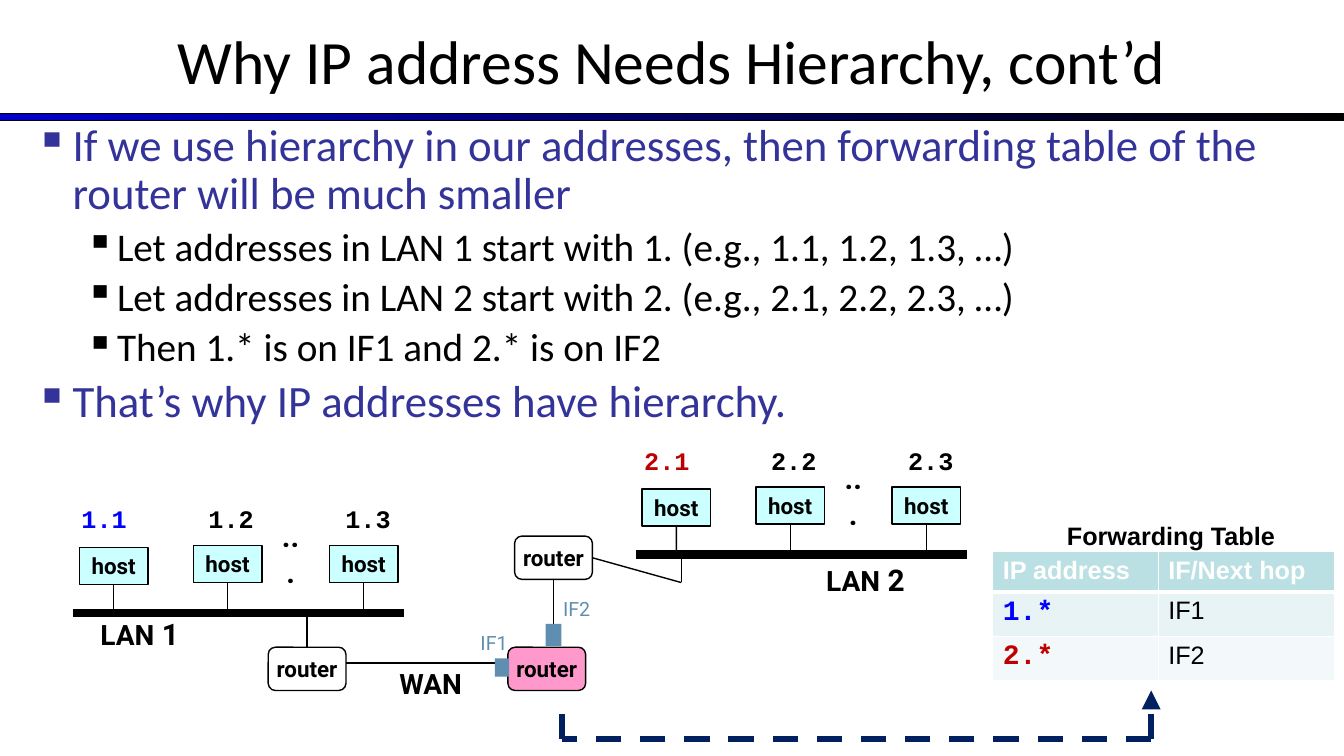
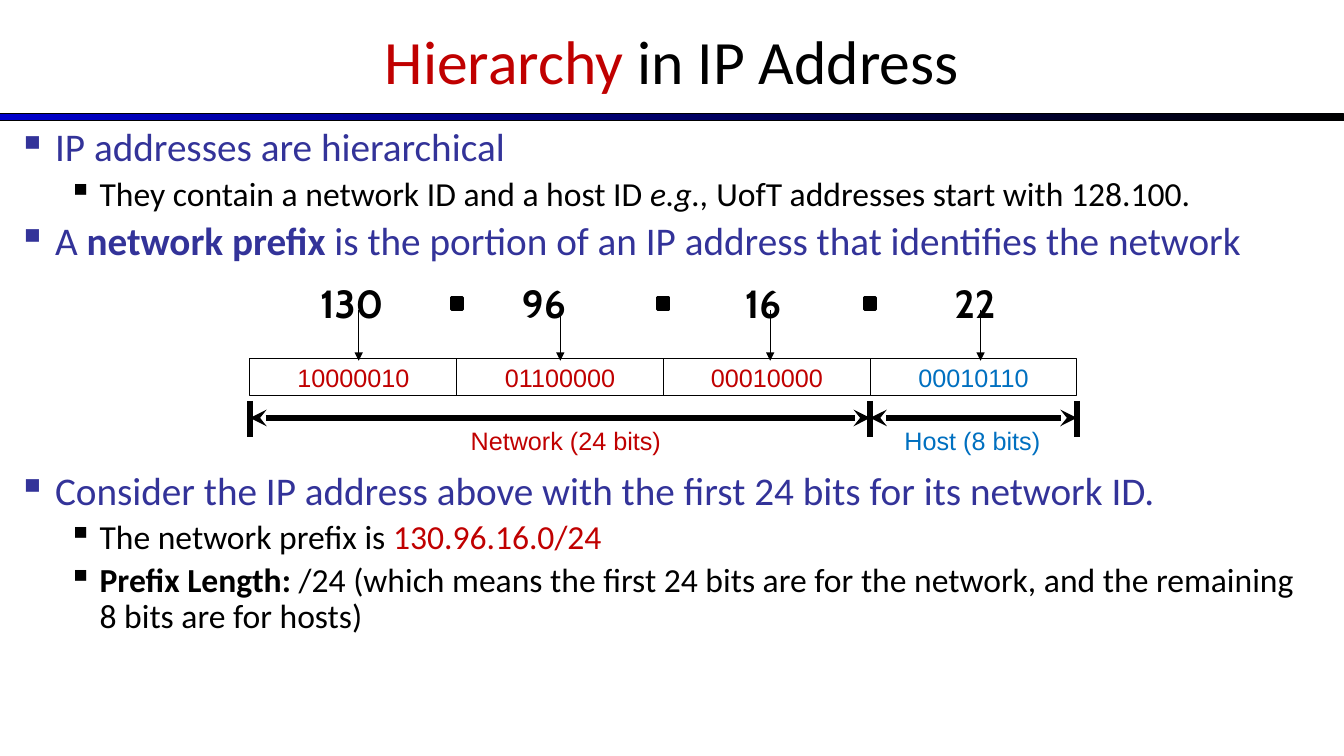
from dataclasses import dataclass
from typing import Optional

from lxml import etree
from pptx import Presentation
from pptx.dml.color import RGBColor
from pptx.enum.dml import MSO_LINE
from pptx.enum.shapes import MSO_CONNECTOR, MSO_SHAPE
from pptx.enum.text import MSO_ANCHOR, PP_ALIGN
from pptx.oxml.ns import qn
from pptx.util import Cm, Pt

STRAIGHT = MSO_CONNECTOR.STRAIGHT
RECTANGLE, ROUNDED = MSO_SHAPE.RECTANGLE, MSO_SHAPE.ROUNDED_RECTANGLE
TOP, MIDDLE = MSO_ANCHOR.TOP, MSO_ANCHOR.MIDDLE
LEFT, CENTER = PP_ALIGN.LEFT, PP_ALIGN.CENTER
SIDE_TOP, SIDE_BOTTOM, SIDE_RIGHT = 0, 2, 3

# Shared look, lengths in centimetres
WIDTH, HEIGHT = 33.87, 19.05
BLACK, WHITE, INDIGO, RED, BLUE = "000000", "FFFFFF", "333399", "C00000", "0000FF"
BAND_BLUE, HOST_FILL, ROUTER_PINK = "0000CC", "CCFFFF", "FF99CC"
STEEL, NAVY, SKY = "5F8EB0", "002060", "0070C0"
INDENTS = ((0.94, 0.94), (2.06, 0.79))
LEVEL_COLORS = (INDIGO, BLACK)


@dataclass(frozen=True)
class Style:
    font: str
    size: float
    color: str = BLACK
    bold: bool = False


@dataclass(frozen=True)
class Span:
    text: str
    color: Optional[str] = None
    bold: Optional[bool] = None
    italic: Optional[bool] = None
    size: Optional[float] = None


@dataclass(frozen=True)
class Bullet:
    level: int
    spans: tuple[Span, ...]


@dataclass(frozen=True)
class Lan:
    number: int
    left: float
    bus: float
    name_left: float
    name_top: float
    first_color: str


@dataclass(frozen=True)
class Octet:
    decimal: str
    bits: str
    color: str
    decimal_left: float
    arrow: float


TITLE = Style("Calibri", 44)
NODE = Style("Roboto", 16, bold=True)
NETWORK_NAME = Style("Roboto", 20, bold=True)
INTERFACE = Style("Roboto", 14, STEEL)


def rgb(color: str) -> RGBColor:
    return RGBColor.from_string(color)


# Text
def style_font(font, style: Style) -> None:
    font.name, font.size, font.bold = style.font, Pt(style.size), style.bold
    font.color.rgb = rgb(style.color)


def add_spans(paragraph, spans: tuple[Span, ...]) -> None:
    for span in spans:
        run = paragraph.add_run()
        run.text = span.text
        if span.color:
            run.font.color.rgb = rgb(span.color)
        if span.bold is not None:
            run.font.bold = span.bold
        if span.italic is not None:
            run.font.italic = span.italic
        if span.size:
            run.font.size = Pt(span.size)


def write(shape, spans: tuple[Span, ...], style: Style, align=CENTER, anchor=MIDDLE,
          wrap: bool = False) -> None:
    frame = shape.text_frame
    frame.word_wrap, frame.vertical_anchor = wrap, anchor
    paragraph = frame.paragraphs[0]
    paragraph.alignment = align
    style_font(paragraph.font, style)
    add_spans(paragraph, spans)


def add_text(slide, left: float, top: float, width: float, height: float,
             spans: tuple[Span, ...], style: Style, align=CENTER, anchor=MIDDLE,
             wrap: bool = False) -> None:
    box = slide.shapes.add_textbox(Cm(left), Cm(top), Cm(width), Cm(height))
    write(box, spans, style, align, anchor, wrap)


def add_bullets(slide, left: float, top: float, width: float, height: float,
                sizes: tuple[int, int], bullets: tuple[Bullet, ...]) -> None:
    box = slide.shapes.add_textbox(Cm(left), Cm(top), Cm(width), Cm(height))
    frame = box.text_frame
    frame.word_wrap = True
    for index, bullet in enumerate(bullets):
        paragraph = frame.add_paragraph() if index else frame.paragraphs[0]
        paragraph.level = bullet.level
        margin, hanging = INDENTS[bullet.level]
        color, size = LEVEL_COLORS[bullet.level], sizes[bullet.level]
        properties = paragraph._p.get_or_add_pPr()
        properties.set("marL", str(Cm(margin)))
        properties.set("indent", str(-Cm(hanging)))
        bullet_color = etree.SubElement(properties, qn("a:buClr"))
        etree.SubElement(bullet_color, qn("a:srgbClr"), val=color)
        etree.SubElement(properties, qn("a:buChar"), char="▪")
        paragraph.line_spacing = 0.9
        if index:
            paragraph.space_before = Pt(size * 0.2)
        style_font(paragraph.font, Style("Calibri", size, color))
        add_spans(paragraph, bullet.spans)


# Shapes and lines
def add_box(slide, left: float, top: float, width: float, height: float,
            fill: Optional[str] = None, line: Optional[float] = None, kind=RECTANGLE):
    shape = slide.shapes.add_shape(kind, Cm(left), Cm(top), Cm(width), Cm(height))
    shape.shadow.inherit = False
    if fill:
        shape.fill.solid()
        shape.fill.fore_color.rgb = rgb(fill)
    else:
        shape.fill.background()
    if line:
        shape.line.color.rgb, shape.line.width = rgb(BLACK), Pt(line)
    else:
        shape.line.fill.background()
    return shape


def add_line(slide, x1: float, y1: float, x2: float, y2: float, weight: float = 1,
             color: str = BLACK, dashed: bool = False, head: str = "", tail: str = ""):
    connector = slide.shapes.add_connector(STRAIGHT, Cm(x1), Cm(y1), Cm(x2), Cm(y2))
    connector.line.color.rgb, connector.line.width = rgb(color), Pt(weight)
    if dashed:
        connector.line.dash_style = MSO_LINE.DASH
    properties = connector.element.spPr
    outline = properties.find(qn("a:ln"))
    for tag, arrow in (("a:headEnd", head), ("a:tailEnd", tail)):
        if arrow:
            etree.SubElement(outline, qn(tag), type=arrow)
    etree.SubElement(properties, qn("a:effectLst"))
    return connector


def add_slide(presentation, title: tuple[Span, ...]):
    slide = presentation.slides.add_slide(presentation.slide_layouts[6])
    band = add_box(slide, 0, 2.87, WIDTH, 0.18, BLACK, 0.75)
    band.fill.gradient()
    band.fill.gradient_angle = 0
    for stop, position, color in zip(band.fill.gradient_stops, (0, 1), (BAND_BLUE, BLACK)):
        stop.position, stop.color.rgb = position, rgb(color)
    add_text(slide, 0, -0.08, WIDTH, 3.18, title, TITLE, wrap=True)
    return slide


# Network diagram
def add_lan(slide, lan: Lan) -> None:
    add_line(slide, lan.left, lan.bus, lan.left + 8.33, lan.bus, 6)
    hosts = ((0.15, 1.65, -0.05), (3.02, 1.7, 3.15), (6.45, 1.7, 6.6))
    for number, (offset, rise, label) in enumerate(hosts, 1):
        left, top = lan.left + offset, lan.bus - rise
        host = add_box(slide, left, top, 1.73, 0.94, HOST_FILL, 1)
        write(host, (Span("host"),), NODE)
        center = left + 1.73 / 2
        drop = add_line(slide, center, top + 0.94, center, lan.bus)
        drop.begin_connect(host, SIDE_BOTTOM)
        color = lan.first_color if number == 1 else BLACK
        add_text(slide, lan.left + label, lan.bus - 2.88, 1.65, 1.02,
                 (Span(f"{lan.number}.{number}"),),
                 Style("Courier New", 18, color, True), anchor=TOP)
    add_text(slide, lan.left + 4.98, lan.bus - 1.93, 0.99, 0.89, (Span("..."),),
             Style("Roboto", 21.3, bold=True), wrap=True)
    add_text(slide, lan.name_left, lan.name_top, 2.62, 1.17,
             (Span("LAN"), Span(f" {lan.number}", size=21.3)), NETWORK_NAME)


def add_router(slide, left: float, top: float, fill: Optional[str] = None):
    router = add_box(slide, left, top, 1.96, 1.09, fill, 1, ROUNDED)
    write(router, (Span("router"),), NODE)
    return router


def add_forwarding_table(slide) -> None:
    add_text(slide, 25.6, 12.98, 7.82, 1.02, (Span("Forwarding Table"),),
             Style("Arial", 18, bold=True), anchor=TOP, wrap=True)
    heading, plain = Style("Arial", 18, WHITE, True), Style("Arial", 18)
    rows = (
        ("BBE0E3", 1.03, (("IP address", heading), ("IF/Next hop", heading))),
        ("E7F3F4", 1.11, (("1.*", Style("Courier New", 20, BLUE, True)), ("IF1", plain))),
        ("F3F9FA", 1.11, (("2.*", Style("Courier New", 20, RED, True)), ("IF2", plain))),
    )
    table = slide.shapes.add_table(3, 2, Cm(25.02), Cm(13.89), Cm(8.62), Cm(3.25)).table
    table.horz_banding = False
    for column, width in zip(table.columns, (4.17, 4.45)):
        column.width = Cm(width)
    for row, (fill, height, entries) in enumerate(rows):
        table.rows[row].height = Cm(height)
        for column, (text, style) in enumerate(entries):
            cell = table.cell(row, column)
            cell.fill.solid()
            cell.fill.fore_color.rgb = rgb(fill)
            paragraph = cell.text_frame.paragraphs[0]
            style_font(paragraph.font, style)
            add_spans(paragraph, (Span(text),))
            weights = (1, 1, 3 if row == 1 else 1, 3 if row == 0 else 1)
            properties = cell._tc.get_or_add_tcPr()
            for index, (side, weight) in enumerate(zip("LRTB", weights)):
                border = etree.Element(qn(f"a:ln{side}"), w=str(Pt(weight)))
                border_fill = etree.SubElement(border, qn("a:solidFill"))
                etree.SubElement(border_fill, qn("a:srgbClr"), val=WHITE)
                properties.insert(index, border)


def build_forwarding_slide(presentation) -> None:
    slide = add_slide(presentation, (Span("Why IP address Needs Hierarchy, cont’d"),))
    add_bullets(slide, 0.64, 2.97, 32.59, 4.8, (32, 28), (
        Bullet(0, (Span("If we use hierarchy in our addresses, then forwarding table "
                        "of the router will be much smaller"),)),
        Bullet(1, (Span("Let addresses in LAN 1 start with 1. (e.g., 1.1, 1.2, 1.3, …)"),)),
        Bullet(1, (Span("Let addresses in LAN 2 start with 2. (e.g., 2.1, 2.2, 2.3, …)"),)),
        Bullet(1, (Span("Then 1.* is on IF1 and 2.* is on IF2"),)),
        Bullet(0, (Span("That’s why IP addresses have hierarchy."),)),
    ))
    for lan in (Lan(1, 1.85, 15.44, 2.21, 15.39, BLUE), Lan(2, 16.03, 13.97, 20.5, 14.02, RED)):
        add_lan(slide, lan)

    # Routers, interfaces and their links
    lan_router = add_router(slide, 6.76, 16.31)
    add_router(slide, 12.8, 16.31, ROUTER_PINK)
    upper_router = add_router(slide, 12.97, 13.51)
    add_line(slide, 7.74, 15.44, 7.74, 16.31).end_connect(lan_router, SIDE_TOP)
    add_line(slide, 12.47, 16.71, 8.72, 16.71)
    add_line(slide, 14.93, 14.06, 17.17, 14.68).begin_connect(upper_router, SIDE_RIGHT)
    add_line(slide, 17.17, 13.92, 17.17, 14.66, 0.75)
    add_box(slide, 12.47, 16.59, 0.36, 0.46, STEEL)
    second_interface = add_box(slide, 13.75, 15.72, 0.4, 0.56, STEEL)
    link = add_line(slide, 13.95, 14.6, 13.95, 15.72)
    link.begin_connect(upper_router, SIDE_BOTTOM)
    link.end_connect(second_interface, SIDE_TOP)
    add_text(slide, 9.75, 16.66, 2.21, 1.12, (Span("WAN"),), NETWORK_NAME)
    for name, left, top in (("IF1", 11.86, 15.77), ("IF2", 13.94, 14.91)):
        add_text(slide, left, top, 1.22, 0.86, (Span(name),), INTERFACE, LEFT)

    # Table and the dashed path that leads to it
    add_forwarding_table(slide)
    add_line(slide, 29.01, 18.62, 29.01, 17.4, 4.5, NAVY, True, tail="triangle")
    add_line(slide, 29.01, 18.62, 14.17, 18.62, 4.5, NAVY, True)
    add_line(slide, 14.17, 18.62, 14.17, 17.78, 4.5, NAVY, True)


# Address structure
def build_prefix_slide(presentation) -> None:
    slide = add_slide(presentation, (Span("Hierarchy", RED), Span(" in IP Address")))
    add_bullets(slide, 0.2, 3.1, 33.02, 3.6, (28, 24), (
        Bullet(0, (Span("IP addresses are hierarchical"),)),
        Bullet(1, (Span("They contain a network ID and a host ID "), Span("e.g.,", italic=True),
                   Span(" UofT addresses start with 128.100."))),
        Bullet(0, (Span("A "), Span("network prefix", bold=True),
                   Span(" is the portion of an IP address that identifies the network"))),
    ))
    add_bullets(slide, 0.2, 11.76, 33.02, 4.6, (28, 24), (
        Bullet(0, (Span("Consider the IP address above with the first 24 bits "
                        "for its network ID."),)),
        Bullet(1, (Span("The network prefix is "), Span("130.96.16.0/24", RED))),
        Bullet(1, (Span("Prefix Length:", bold=True),
                   Span(" /24 (which means the first 24 bits are for the network, "
                        "and the remaining 8 bits are for hosts)"))),
    ))

    left, width = 6.3, 5.21
    octets = (Octet("130", "10000010", RED, 7.82, 9.04), Octet("96", "01100000", RED, 12.9, 14.12),
              Octet("16", "00010000", RED, 18.52, 19.41), Octet("22", "00010110", SKY, 23.8, 24.71))
    for index, octet in enumerate(octets):
        cell_left = left + index * width
        cell = add_box(slide, cell_left, 9.04, width, 0.94, line=0.75)
        write(cell, (Span(octet.bits),), Style("Arial", 18, octet.color))
        add_text(slide, octet.decimal_left, 6.91, 2.4, 1.45, (Span(octet.decimal),),
                 Style("Cabin", 28, bold=True), LEFT, TOP)
        add_line(slide, octet.arrow, 7.82, octet.arrow, 9.09, 0.75, tail="triangle")
        if index:
            add_box(slide, cell_left - 0.14, 7.5, 0.28, 0.3, BLACK, 2)

    # Spans of the network and host parts
    boundary, right = left + 3 * width, left + 4 * width
    for tick in (left, boundary, right):
        add_line(slide, tick, 10.1, tick, 11, 4)
    for start, end in ((left, boundary), (boundary, right)):
        add_line(slide, start, 10.53, end, 10.53, 4, head="stealth", tail="stealth")
    for text, color, label_left, label_width in (("Network (24 bits)", RED, 11.15, 6.22),
                                                 ("Host (8 bits)", SKY, 22.5, 4.01)):
        add_text(slide, label_left, 10.6, label_width, 1.02, (Span(text),),
                 Style("Arial", 18, color), anchor=TOP, wrap=True)


def main() -> None:
    presentation = Presentation()
    presentation.slide_width, presentation.slide_height = Cm(WIDTH), Cm(HEIGHT)
    build_forwarding_slide(presentation)
    build_prefix_slide(presentation)
    presentation.save("out.pptx")


if __name__ == "__main__":
    main()
